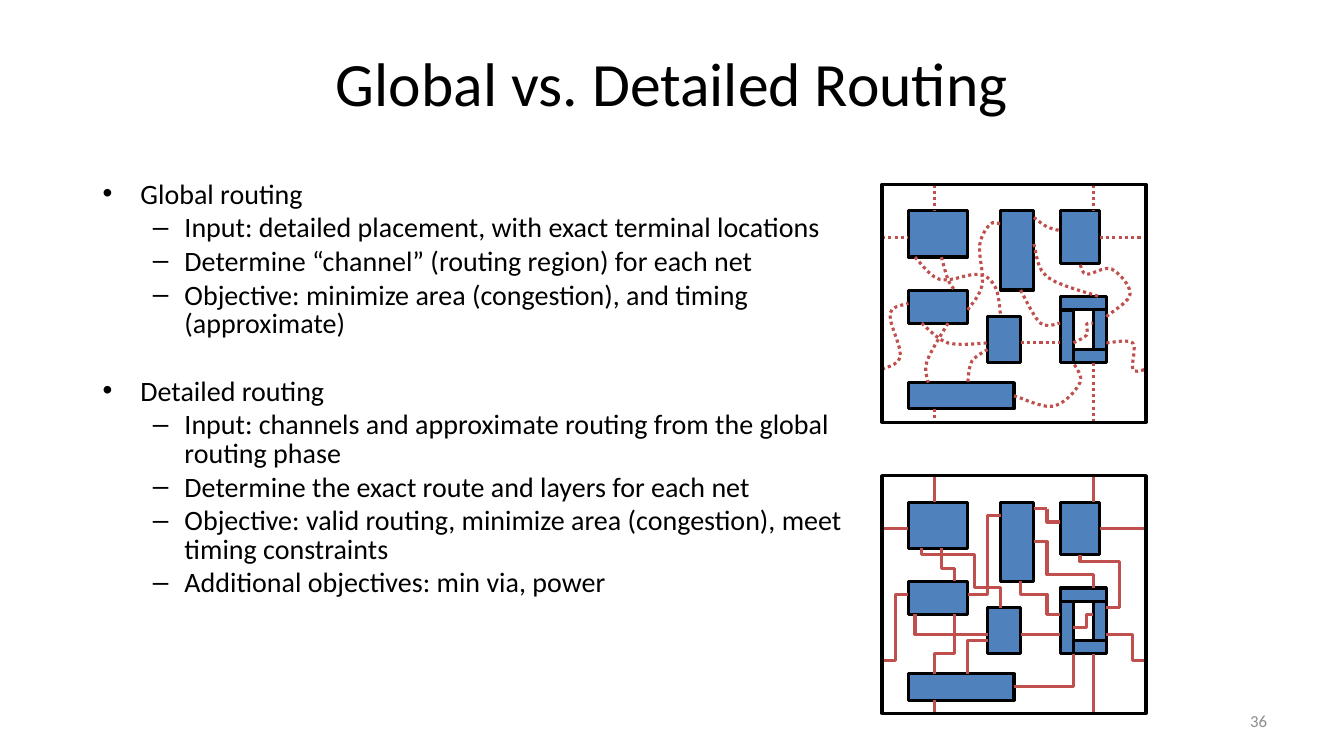
from lxml.etree import SubElement
from pptx import Presentation
from pptx.dml.color import RGBColor
from pptx.enum.dml import MSO_LINE_DASH_STYLE as Dash
from pptx.enum.shapes import MSO_CONNECTOR as Connector, MSO_SHAPE as Shape
from pptx.enum.text import MSO_ANCHOR as Anchor, PP_ALIGN as Align
from pptx.oxml.ns import qn
from pptx.util import Pt

COLORS = {"text": "000000", "number": "8C8C8C", "block": "4F81BD",
          "outline": "000000", "wire": "C0504D"}
FONT = "Calibri"
TITLE = "Global vs. Detailed Routing"
NUMBER = "36"
SECTIONS = [
    ("Global routing", [
        "Input: detailed placement, with exact terminal locations",
        "Determine “channel” (routing region) for each net",
        "Objective: minimize area (congestion), and timing (approximate)"]),
    ("Detailed routing", [
        "Input: channels and approximate routing from the global routing phase",
        "Determine the exact route and layers for each net",
        "Objective: valid routing, minimize area (congestion), meet timing constraints",
        "Additional objectives: min via, power"]),
]
BULLETS = [("•", 27, -27), ("–", 58.5, -22.5)]
LINE_GAP, SECTION_GAP = 3.6, 28

UNIT = 9.43
COLUMNS, ROWS = 20, 18
PANEL_LEFT, GLOBAL_TOP, DETAILED_TOP = 630, 131.8, 339.8
CURVE_STEPS = 5
BLOCKS = [
    (2, 2, 4.5, 3.5), (9, 2, 2.5, 6), (13.5, 2, 3, 4),
    (2, 8, 4.5, 2.5), (8, 10, 2.5, 3.5), (2, 15, 8, 2),
    (16, 9.5, 1, 3), (14.5, 12.5, 2.5, 1), (13.5, 9.5, 1, 4), (13.5, 8.5, 3.5, 1),
]
SHARED_STEPS = {
    "across": [(0, 4, 2), (16.5, 4, 20), (10.5, 12, 13.5)],
    "down": [(4, 0, 2), (16, 0, 2), (4, 17, 18), (16, 13.5, 18)],
}
DETAILED_STEPS = {
    "across": [
        (11.5, 2.5, 12.5), (14.5, 11.5, 15.5, 10.5, 16), (6.5, 9, 8, 3, 9),
        (8, 12.5, 6.5, 15), (11.5, 5, 12.5, 7.5, 16, 8.5), (10, 16, 14.5, 13.5),
        (17, 10, 18, 6.5, 15, 6), (17, 12, 19, 14, 20), (0, 14, 1, 9, 2)],
    "down": [
        (5.5, 7, 8), (4.5, 5.5, 7, 5.5), (5.5, 10.5, 13.5, 4, 15),
        (10.5, 8, 9, 12.5, 10.5, 13.5), (12.5, 2.5, 3.5, 13.5),
        (3, 5.5, 6, 7, 8.5, 9, 10), (2.5, 10.5, 12, 8)],
}
GLOBAL_CURVES = [
    [(14.5, 12), (15.5, 11.4), (15.5, 10.6), (16, 10.5)],
    [(11.5, 4.5), (12.5, 7), (16.5, 8.5)],
    [(10.5, 8), (12, 10.5), (13.5, 10.5)],
    [(8, 12.5), (6.8, 13.4), (6.5, 15)],
    [(3, 10.5), (5, 12), (8, 12)],
    [(5, 10.5), (3.4, 13.4), (3.5, 15)],
    [(6.5, 9.5), (7.6, 7.6), (7.4, 4.6), (8.2, 3), (9, 3)],
    [(2.5, 5.5), (4.4, 7.2), (7.3, 6.8), (8.6, 7.8), (9, 10)],
    [(4.5, 5.5), (5, 7.2), (5.5, 8)],
    [(11.5, 2.5), (12.5, 3.2), (13.5, 3.5)],
    [(0, 14), (1.4, 13), (0.6, 9.8), (2, 9)],
    [(10, 16), (13, 16.8), (15, 15), (14.5, 13.5)],
    [(17, 12), (19, 12), (19, 14), (20, 14)],
    [(17, 10), (18.8, 8.3), (17.4, 6.4), (15.5, 6.8), (15, 6)],
]

presentation = Presentation()
presentation.slide_width, presentation.slide_height = Pt(960), Pt(540)
slide = presentation.slides.add_slide(presentation.slide_layouts[6])


def rgb(name):
    return RGBColor.from_string(COLORS[name])


def add_text_frame(left, top, width, height, anchor=Anchor.TOP):
    frame = slide.shapes.add_textbox(Pt(left), Pt(top), Pt(width), Pt(height)).text_frame
    frame.word_wrap = True
    frame.vertical_anchor = anchor
    return frame


def write(paragraph, text, size=20, color="text", align=Align.LEFT,
          bullet=None, spacing=None, before=0):
    paragraph.alignment = align
    paragraph.space_before = Pt(before)
    if spacing:
        paragraph.line_spacing = spacing
    if bullet:
        mark, margin, indent = bullet
        properties = paragraph._p.get_or_add_pPr()
        properties.set("marL", str(Pt(margin)))
        properties.set("indent", str(Pt(indent)))
        SubElement(properties, qn("a:buFont"), typeface="Arial")
        SubElement(properties, qn("a:buChar"), char=mark)
    run = paragraph.add_run()
    run.text = text
    run.font.name, run.font.size = FONT, Pt(size)
    run.font.color.rgb = rgb(color)


def style_line(shape, color, dash=None):
    shape.line.color.rgb = rgb(color)
    shape.line.width = Pt(2.25)
    if dash:
        shape.line.dash_style = dash


def add_rectangle(top, box, fill=None):
    x, y, width, height = (value * UNIT for value in box)
    shape = slide.shapes.add_shape(Shape.RECTANGLE, Pt(PANEL_LEFT + x), Pt(top + y),
                                   Pt(width), Pt(height))
    shape.shadow.inherit = False
    if fill:
        shape.fill.solid()
        shape.fill.fore_color.rgb = rgb(fill)
    else:
        shape.fill.background()
    style_line(shape, "outline")
    return shape


def side_middles(box):
    x, y, width, height = box
    return [(x + width / 2, y), (x, y + height / 2),
            (x + width / 2, y + height), (x + width, y + height / 2)]


def right_angled(steps):
    wires = []
    for direction, routes in steps.items():
        for x, y, *stops in routes:
            wire = [(x, y)]
            across = direction == "across"
            for stop in stops:
                x, y = (stop, y) if across else (x, stop)
                wire.append((x, y))
                across = not across
            wires.append(wire)
    return wires


def smooth(knots):
    padded = [knots[0], *knots, knots[-1]]
    points = [knots[0]]
    for window in zip(padded, padded[1:], padded[2:], padded[3:]):
        for step in range(1, CURVE_STEPS + 1):
            t = step / CURVE_STEPS
            points.append(tuple(
                b + t * (c - a) / 2 + t ** 2 * (2 * a - 5 * b + 4 * c - d) / 2
                + t ** 3 * (3 * b - a - 3 * c + d) / 2
                for a, b, c, d in zip(*window)))
    return points


def add_wire(top, wire, sites, dash):
    points = [(Pt(PANEL_LEFT + x * UNIT), Pt(top + y * UNIT)) for x, y in wire]
    if len(wire) == 2:
        shape = slide.shapes.add_connector(Connector.STRAIGHT, *points[0], *points[1])
        SubElement(shape._element.spPr, qn("a:effectLst"))
        for point, connect in zip(wire, (shape.begin_connect, shape.end_connect)):
            if point in sites:
                connect(*sites[point])
    else:
        builder = slide.shapes.build_freeform(*points[0])
        builder.add_line_segments(points[1:], close=False)
        shape = builder.convert_to_shape()
        shape.shadow.inherit = False
        shape.fill.background()
    style_line(shape, "wire", dash)


def add_panel(top, wires, dash=None):
    sites = {}
    for box in BLOCKS:
        block = add_rectangle(top, box, "block")
        sites.update({point: (block, side) for side, point in enumerate(side_middles(box))})
    for wire in right_angled(SHARED_STEPS) + wires:
        add_wire(top, wire, sites, dash)
    add_rectangle(top, (0, 0, COLUMNS, ROWS))


write(add_text_frame(688.3, 500.4, 223.9, 28.8, Anchor.MIDDLE).paragraphs[0],
      NUMBER, size=12, color="number", align=Align.RIGHT)
write(add_text_frame(66.2, 28.8, 828, 104.4).paragraphs[0],
      TITLE, size=44, align=Align.CENTER)

body = add_text_frame(66.2, 126, 558, 326.9)
for index, (heading, points) in enumerate(SECTIONS):
    paragraph = body.add_paragraph() if index else body.paragraphs[0]
    write(paragraph, heading, bullet=BULLETS[0], spacing=0.85,
          before=SECTION_GAP if index else 0)
    for point in points:
        paragraph = body.add_paragraph()
        paragraph.level = 1
        write(paragraph, point, bullet=BULLETS[1], spacing=0.85, before=LINE_GAP)

add_panel(GLOBAL_TOP, [smooth(knots) for knots in GLOBAL_CURVES], Dash.ROUND_DOT)
add_panel(DETAILED_TOP, right_angled(DETAILED_STEPS))

presentation.save("out.pptx")
